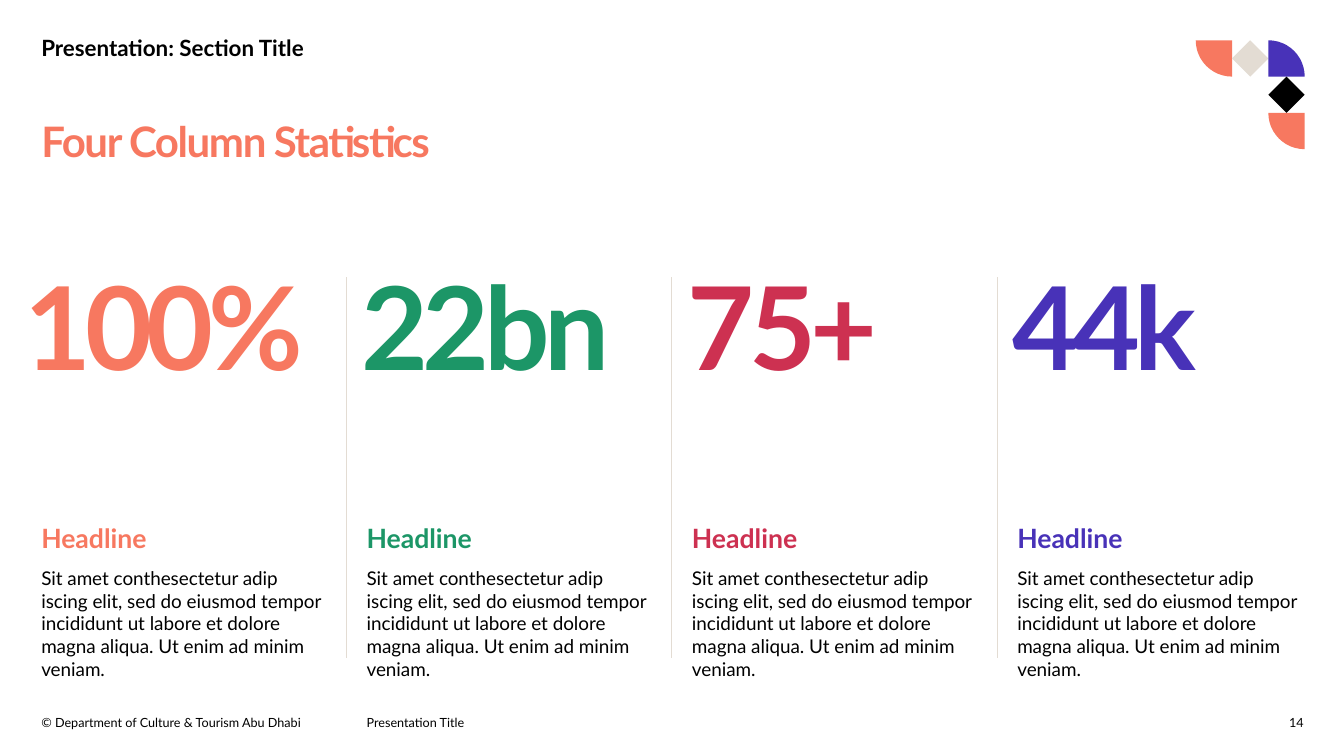
"""Build the four column statistics slide."""
from dataclasses import dataclass

from lxml.etree import SubElement
from pptx import Presentation
from pptx.dml.color import RGBColor
from pptx.enum.shapes import MSO_CONNECTOR as Connector, MSO_SHAPE as Preset
from pptx.enum.text import MSO_ANCHOR as Anchor, PP_ALIGN as Align
from pptx.oxml.ns import qn
from pptx.slide import Slide
from pptx.text.text import _Paragraph as Paragraph
from pptx.util import Inches, Pt

COLORS = {
    "coral": "F77860",
    "green": "1C9667",
    "red": "CD3151",
    "violet": "4832B8",
    "sand": "E3DCD3",
    "black": "000000",
}
FONT = "Lato"
WIDTH, HEIGHT = 13.33, 7.5
MARGIN = 0.41
COLUMN = 2.83
PITCH = (WIDTH - 2 * MARGIN - COLUMN) / 3
RULE_GAP = 0.2
RULE_TOP, RULE_BOTTOM = 2.75, 6.53
STAT_TOP, DETAIL_TOP, FOOTER_TOP = 2.53, 5.18, 7.05
HEADER_WIDTH = 10.76
TILE = 0.36
MOSAIC_LEFT, MOSAIC_TOP = 11.86, 0.4
BLURB = (
    "Sit amet conthesectetur adip \niscing elit, sed do eiusmod tempor "
    "incididunt ut labore et dolore magna aliqua. Ut enim ad minim veniam."
)


@dataclass(frozen=True)
class Style:
    size: float
    color: str = "black"
    bold: bool = False
    tracking: int = 0


@dataclass(frozen=True)
class Label:
    text: str
    left: float
    top: float
    width: float
    height: float
    style: Style
    anchor: Anchor = Anchor.TOP
    align: Align = Align.LEFT


@dataclass(frozen=True)
class Statistic:
    value: str
    color: str
    outdent: float


@dataclass(frozen=True)
class Tile:
    column: int
    row: int
    preset: Preset
    color: str
    rotation: int = 0


STATISTICS = (
    Statistic("100%", "coral", 0.17),
    Statistic("22bn", "green", 0.05),
    Statistic("75+", "red", 0.04),
    Statistic("44k", "violet", 0.05),
)
MOSAIC = (
    Tile(0, 0, Preset.PIE_WEDGE, "coral", 270),
    Tile(1, 0, Preset.DIAMOND, "sand"),
    Tile(2, 0, Preset.PIE_WEDGE, "violet", 90),
    Tile(2, 1, Preset.DIAMOND, "black"),
    Tile(2, 2, Preset.PIE_WEDGE, "coral", 270),
)
SMALL = Style(9)
LABELS = (
    Label("Presentation: Section Title", MARGIN, 0.08, HEADER_WIDTH, 0.53,
          Style(16, bold=True), Anchor.BOTTOM),
    Label("© Department of Culture & Tourism Abu Dhabi", MARGIN, FOOTER_TOP,
          3.12, 0.19, SMALL, Anchor.BOTTOM),
    Label("Presentation Title", MARGIN + PITCH, FOOTER_TOP, 2.65, 0.19,
          SMALL, Anchor.BOTTOM),
    Label("14", 12.56, FOOTER_TOP, 0.37, 0.19, SMALL, Anchor.BOTTOM, Align.RIGHT),
)
TITLE = Label("Four Column Statistics", MARGIN, 1.2, HEADER_WIDTH, 0.93,
              Style(30, "coral", True, -1))


def rgb(name: str) -> RGBColor:
    return RGBColor.from_string(COLORS[name])


def format_runs(paragraph: Paragraph, style: Style) -> None:
    for run in paragraph.runs:
        run.font.name = FONT
        run.font.size = Pt(style.size)
        run.font.bold = style.bold
        run.font.color.rgb = rgb(style.color)
        if style.tracking:
            run._r.get_or_add_rPr().set("spc", str(style.tracking * 100))


def add_label(slide: Slide, label: Label) -> Paragraph:
    box = slide.shapes.add_textbox(
        Inches(label.left), Inches(label.top), Inches(label.width), Inches(label.height)
    )
    frame = box.text_frame
    frame.margin_left = frame.margin_right = frame.margin_top = frame.margin_bottom = 0
    frame.word_wrap = True
    frame.vertical_anchor = label.anchor
    frame.text = label.text
    opening = frame.paragraphs[0]
    opening.alignment = label.align
    format_runs(opening, label.style)
    return opening


def add_detail(slide: Slide, left: float, color: str) -> None:
    headline = add_label(
        slide, Label("Headline", left, DETAIL_TOP, COLUMN, 1.74, Style(19, color, True))
    )
    headline.space_after = Pt(9)
    blurb = headline._parent.add_paragraph()
    blurb.text = BLURB
    format_runs(blurb, Style(13.5))


def add_rule(slide: Slide, left: float) -> None:
    rule = slide.shapes.add_connector(
        Connector.STRAIGHT, Inches(left), Inches(RULE_TOP), Inches(left), Inches(RULE_BOTTOM)
    )
    rule.line.color.rgb = rgb("sand")
    rule.line.width = Pt(0.5)
    SubElement(rule._element.spPr, qn("a:effectLst"))


def add_statistic(slide: Slide, index: int, statistic: Statistic) -> None:
    left = MARGIN + index * PITCH
    add_label(
        slide,
        Label(statistic.value, left - statistic.outdent, STAT_TOP, 3, 2.07,
              Style(82.5, statistic.color, True, -4)),
    )
    add_detail(slide, left, statistic.color)
    if index:
        add_rule(slide, left - RULE_GAP)


def add_tile(slide: Slide, tile: Tile) -> None:
    piece = slide.shapes.add_shape(
        tile.preset,
        Inches(MOSAIC_LEFT + tile.column * TILE),
        Inches(MOSAIC_TOP + tile.row * TILE),
        Inches(TILE),
        Inches(TILE),
    )
    piece.rotation = tile.rotation
    piece.shadow.inherit = False
    piece.fill.solid()
    piece.fill.fore_color.rgb = rgb(tile.color)
    piece.line.fill.background()


def main() -> None:
    deck = Presentation()
    deck.slide_width, deck.slide_height = Inches(WIDTH), Inches(HEIGHT)
    slide = deck.slides.add_slide(deck.slide_layouts[6])
    for tile in MOSAIC:
        add_tile(slide, tile)
    for label in LABELS:
        add_label(slide, label)
    add_label(slide, TITLE).line_spacing = 0.9
    for index, statistic in enumerate(STATISTICS):
        add_statistic(slide, index, statistic)
    deck.save("out.pptx")


if __name__ == "__main__":
    main()
